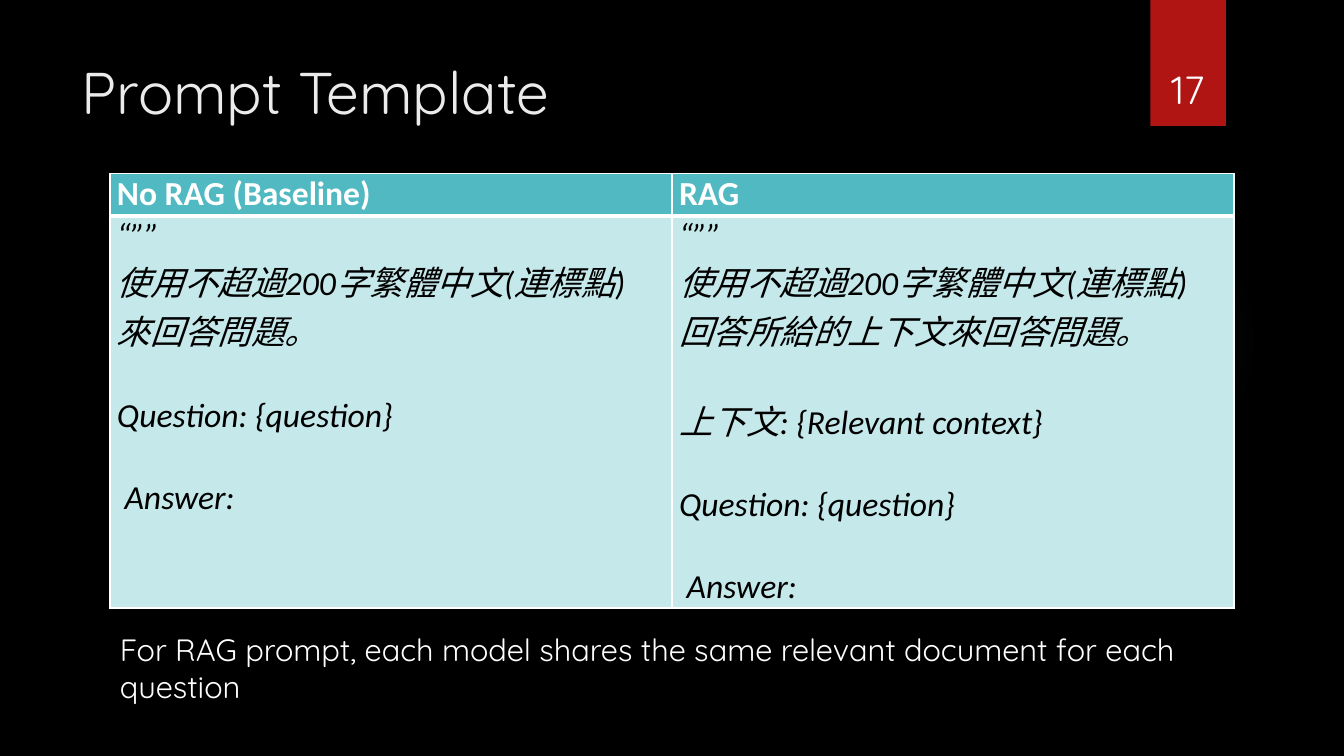
from lxml import etree
from pptx import Presentation
from pptx import util as u
from pptx.dml import color
from pptx.enum import shapes, text
from pptx.oxml import ns, parse_xml

COLORS = {"bg": "000000", "title": "EBEBEB", "white": "FFFFFF", "ink": "000000",
          "teal": "50B9C1", "pale": "C5E8EA", "red": "B01513"}
HEADING, BODY = "Quicksand", "Calibri"
LINE_GAP = 29.3  # one empty line of body text, in points

PROMPTS = {
    "No RAG (Baseline)": ["“””", "使用不超過200字繁體中文(連標點) 來回答問題。",
                          "Question: {question}", " Answer:"],
    "RAG": ["“””", "使用不超過200字繁體中文(連標點) 回答所給的上下文來回答問題。",
            "上下文: {Relevant context}", "Question: {question}", " Answer:"],
}


def rgb(name):
    return color.RGBColor.from_string(COLORS[name])


def inches(box):
    return [u.Inches(v) for v in box]


def style(p, size, font, ink, bold=False, italic=False):
    for r in p.runs:
        f = r.font
        f.size, f.name, f.bold, f.italic = u.Pt(size), font, bold, italic
        f.color.rgb = rgb(ink)


def add_panel(s, kind, box):
    sp = s.shapes.add_shape(kind, *inches(box))
    sp.shadow.inherit = False
    sp.line.fill.background()
    return sp


def add_glow(s, box):
    sp = add_panel(s, shapes.MSO_SHAPE.OVAL, box)
    stops = "".join(
        f'<a:gs pos="{pos}000"><a:srgbClr val="{COLORS["teal"]}">'
        f'<a:alpha val="{alpha}000"/></a:srgbClr></a:gs>'
        for pos, alpha in [(0, 7), (36, 6), (69, 0), (100, 0)])
    grad = parse_xml(
        f'<a:gradFill {ns.nsdecls("a")}><a:gsLst>{stops}</a:gsLst><a:path path="circle">'
        '<a:fillToRect l="50000" t="50000" r="50000" b="50000"/></a:path></a:gradFill>')
    sp.element.spPr.find(ns.qn("a:prstGeom")).addnext(grad)


def add_ribbon(s, box):
    sp = add_panel(s, shapes.MSO_SHAPE.RECTANGLE, box)
    sp.fill.solid()
    sp.fill.fore_color.rgb = rgb("red")


def add_title(s, box, title):
    sp = s.shapes.title
    sp.left, sp.top, sp.width, sp.height = inches(box)
    tf = sp.text_frame
    tf.text = title
    tf.vertical_anchor = text.MSO_ANCHOR.TOP
    tf.auto_size = text.MSO_AUTO_SIZE.NONE
    p = tf.paragraphs[0]
    p.alignment = text.PP_ALIGN.LEFT
    style(p, 42, HEADING, "title")


def add_label(s, box, words, size, align=text.PP_ALIGN.LEFT, anchor=text.MSO_ANCHOR.TOP):
    tf = s.shapes.add_textbox(*inches(box)).text_frame
    tf.word_wrap = True
    tf.vertical_anchor = anchor
    tf.text = words
    p = tf.paragraphs[0]
    p.alignment = align
    style(p, size, HEADING, "white")


def format_cell(cell, fill, top, bottom):
    cell.margin_left = cell.margin_right = u.Inches(0.07)
    cell.margin_top = cell.margin_bottom = 0
    tcPr = cell._tc.get_or_add_tcPr()
    for side, width in [("L", 1), ("R", 1), ("T", top), ("B", bottom)]:
        ln = etree.SubElement(tcPr, ns.qn(f"a:ln{side}"), w=str(u.Pt(width)))
        solid = etree.SubElement(ln, ns.qn("a:solidFill"))
        etree.SubElement(solid, ns.qn("a:srgbClr"), val=COLORS["white"])
    cell.fill.solid()
    cell.fill.fore_color.rgb = rgb(fill)


def add_prompt_table(s, box, header_height):
    table = s.shapes.add_table(2, len(PROMPTS), *inches(box)).table
    table.rows[0].height = u.Inches(header_height)
    table.rows[1].height = u.Inches(box[3] - header_height)
    for col, (name, lines) in enumerate(PROMPTS.items()):
        head, body = table.cell(0, col), table.cell(1, col)
        format_cell(head, "teal", 1, 3)
        format_cell(body, "pale", 3, 1)
        head.text_frame.text = name
        style(head.text_frame.paragraphs[0], 24, BODY, "white", bold=True)
        body.text_frame.text = "\n".join(lines)
        for i, p in enumerate(body.text_frame.paragraphs):
            if i > 1:  # the instruction follows the quotes directly
                p.space_before = u.Pt(LINE_GAP)
            style(p, 24, BODY, "ink", italic=True)


def build_prompt_slide(prs):
    s = prs.slides.add_slide(prs.slide_layouts[5])
    s.background.fill.solid()
    s.background.fill.fore_color.rgb = rgb("bg")
    # Backdrop
    add_glow(s, (9.41, 1.83, 3.08, 3.08))
    add_ribbon(s, (11.41, 0, 0.75, 1.25))
    # Content
    add_title(s, (0.71, 0.5, 10.29, 1.53), "Prompt Template")
    add_prompt_table(s, (1.09, 1.72, 11.15, 4.3), 0.42)
    add_label(s, (1.09, 6.21, 11.24, 0.84),
              "For RAG prompt, each model shares the same relevant document for each question", 22)
    # Slide number
    add_label(s, (11.32, 0.32, 0.92, 0.84), "17", 28,
              text.PP_ALIGN.CENTER, text.MSO_ANCHOR.BOTTOM)


def main():
    prs = Presentation()
    prs.slide_width, prs.slide_height = u.Inches(13.33), u.Inches(7.5)
    build_prompt_slide(prs)
    prs.save("out.pptx")


if __name__ == "__main__":
    main()
